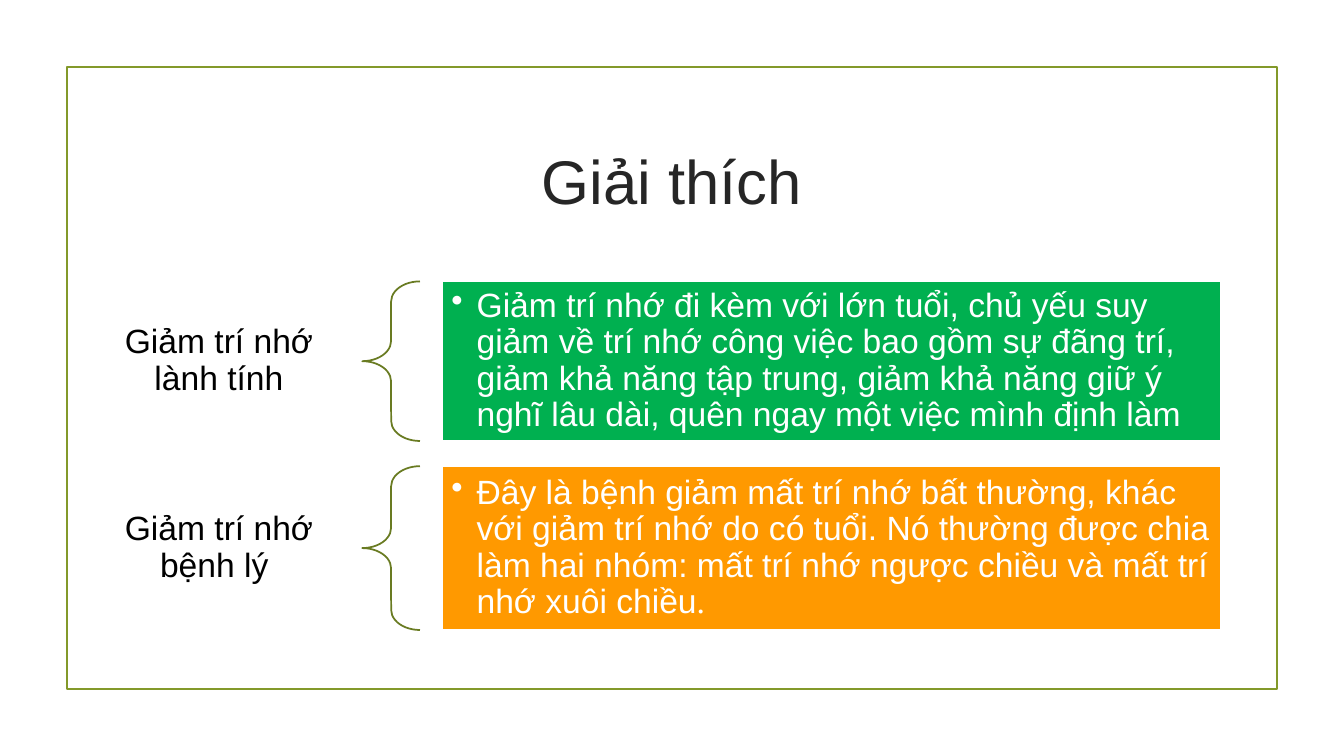
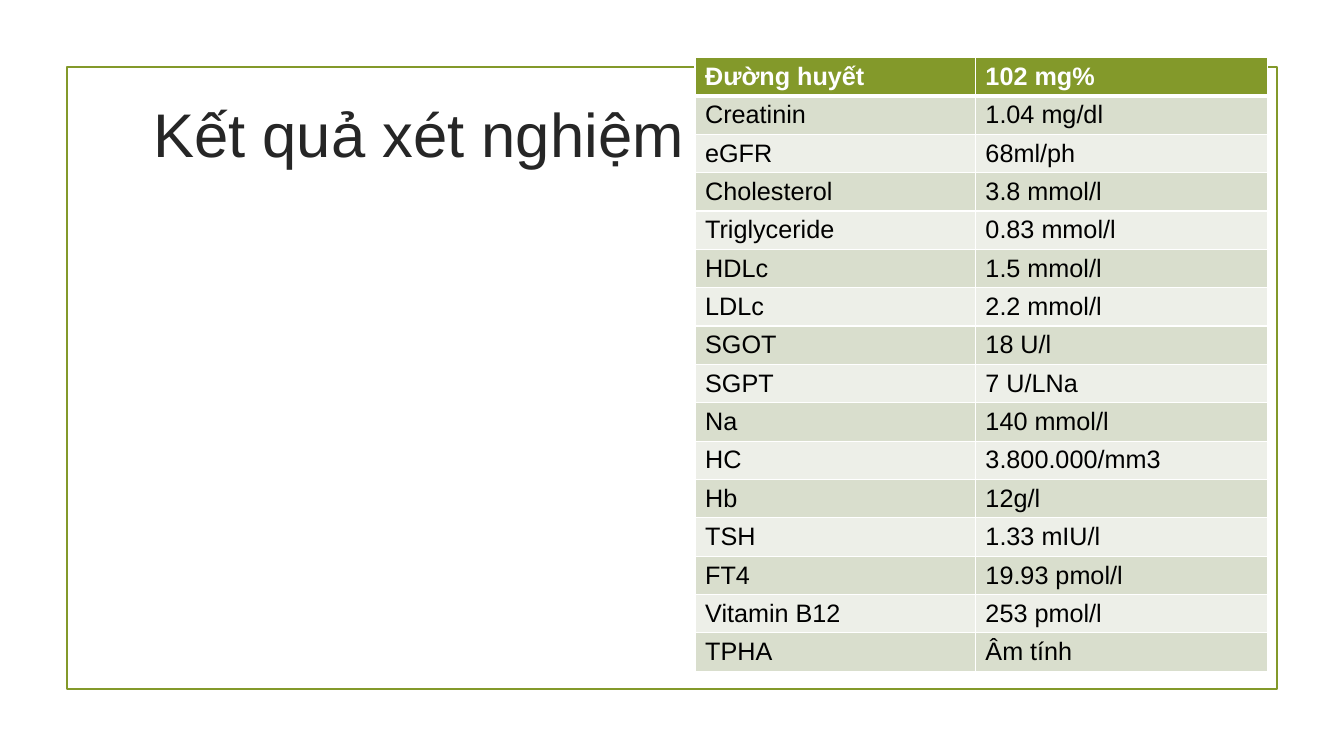
from dataclasses import dataclass
from typing import Any

import pptx
import pptx.dml.color
import pptx.enum.shapes
import pptx.enum.text
import pptx.oxml
import pptx.oxml.ns
import pptx.util

RGBColor = pptx.dml.color.RGBColor
Shape = pptx.enum.shapes.MSO_SHAPE
Align = pptx.enum.text.PP_ALIGN
Anchor = pptx.enum.text.MSO_ANCHOR

EMU_PER_PX = 9525
FONT = "Arial"
ENDING_FONT = "Times New Roman"
WHITE = RGBColor(0xFF, 0xFF, 0xFF)
BLACK = RGBColor(0x00, 0x00, 0x00)
TITLE_INK = RGBColor(0x26, 0x26, 0x26)
OLIVE = RGBColor(0x83, 0x99, 0x2A)
DARK_OLIVE = RGBColor(0x69, 0x7B, 0x22)
GREEN = RGBColor(0x00, 0xB0, 0x50)
ORANGE = RGBColor(0xFF, 0x99, 0x00)
BANDS = (RGBColor(0xED, 0xEF, 0xE8), RGBColor(0xD9, 0xDE, 0xCD))

LABEL_LEFT, LABEL_WIDTH = 72, 273
BRACE_LEFT, BRACE_WIDTH = 345, 55
BOX_LEFT, BOX_WIDTH = 421, 742
TERMS_TOP, TERM_GAP = 268, 24
TABLE_LEFT, TABLE_TOP = 662, 55
COLUMN_WIDTHS = (267, 278)
ROW_HEIGHT = 36


@dataclass(frozen=True)
class Term:
    label: str
    meaning: str
    color: RGBColor
    height: int
    ending: str = ""


TERMS = (
    Term("Giảm trí nhớ lành tính",
         "Giảm trí nhớ đi kèm với lớn tuổi, chủ yếu suy giảm về trí nhớ công việc "
         "bao gồm sự đãng trí, giảm khả năng tập trung, giảm khả năng giữ ý nghĩ "
         "lâu dài, quên ngay một việc mình định làm",
         GREEN, 152),
    Term("Giảm trí nhớ bệnh lý ",
         "Đây là bệnh giảm mất trí nhớ bất thường, khác với giảm trí nhớ do có tuổi. "
         "Nó thường được chia làm hai nhóm: mất trí nhớ ngược chiều và mất trí nhớ "
         "xuôi chiều",
         ORANGE, 156, "."),
)

TEST_RESULTS = (
    ("Đường huyết", "102 mg%"),
    ("Creatinin", "1.04 mg/dl"),
    ("eGFR", "68ml/ph"),
    ("Cholesterol", "3.8 mmol/l"),
    ("Triglyceride", "0.83 mmol/l"),
    ("HDLc", "1.5 mmol/l"),
    ("LDLc", "2.2 mmol/l"),
    ("SGOT", "18 U/l"),
    ("SGPT", "7 U/LNa"),
    ("Na", "140 mmol/l"),
    ("HC", "3.800.000/mm3"),
    ("Hb", "12g/l"),
    ("TSH", "1.33 mIU/l"),
    ("FT4", "19.93 pmol/l"),
    ("Vitamin B12", "253 pmol/l"),
    ("TPHA", "Âm tính"),
)


def px(length: int) -> pptx.util.Emu:
    return pptx.util.Emu(length * EMU_PER_PX)


def write(frame: Any, text: str, *, size: int, color: RGBColor, bold: bool = False,
          align: Any = Align.LEFT, spacing: float | None = None,
          bullet_indent: int = 0, ending: str = "") -> None:
    """Fill the first paragraph; the ending is set in its own font."""
    para = frame.paragraphs[0]
    para.alignment = align
    if spacing:
        para.line_spacing = spacing
    if bullet_indent:
        props = para._p.get_or_add_pPr()
        props.set("marL", str(px(bullet_indent)))
        props.set("indent", str(-px(bullet_indent)))
        bullet = pptx.oxml.parse_xml(
            f'<a:buChar {pptx.oxml.ns.nsdecls("a")} char="•"/>')
        props.append(bullet)
    for words, font in ((text, FONT), (ending, ENDING_FONT)):
        if words:
            span = para.add_run()
            span.text = words
            span.font.name = font
            span.font.size = pptx.util.Pt(size)
            span.font.bold = bold
            span.font.color.rgb = color


def set_frame(frame: Any, side: int, edge: int) -> None:
    """Wrap and centre vertically, with side and top/bottom insets in px."""
    frame.word_wrap = True
    frame.vertical_anchor = Anchor.MIDDLE
    frame.margin_left = frame.margin_right = px(side)
    frame.margin_top = frame.margin_bottom = px(edge)


def add_outline(page: Any, kind: Any, left: int, top: int, width: int, height: int,
                line: RGBColor, fill: RGBColor | None = None) -> Any:
    shape = page.shapes.add_shape(kind, px(left), px(top), px(width), px(height))
    shape.shadow.inherit = False
    shape.line.color.rgb = line
    shape.line.width = pptx.util.Pt(1.25)
    if fill is None:
        shape.fill.background()
    else:
        shape.fill.solid()
        shape.fill.fore_color.rgb = fill
    return shape


def add_page(deck: Any, title: str, title_top: int, align: Any) -> Any:
    """Add a page with the shared frame and title style."""
    page = deck.slides.add_slide(deck.slide_layouts[5])
    border = add_outline(page, Shape.RECTANGLE, 64, 64, 1152, 592, OLIVE)
    heading = page.shapes.title
    heading.element.addprevious(border.element)
    heading.left, heading.top = px(136), px(title_top)
    heading.width, heading.height = px(1008), px(137)
    set_frame(heading.text_frame, 10, 5)
    write(heading.text_frame, title, size=44, color=TITLE_INK, align=align)
    return page


def add_term(page: Any, term: Term, top: int) -> None:
    label = page.shapes.add_textbox(
        px(LABEL_LEFT), px(top), px(LABEL_WIDTH), px(term.height))
    set_frame(label.text_frame, 18, 7)
    write(label.text_frame, term.label, size=24, color=BLACK,
          align=Align.CENTER, spacing=0.9)

    brace = add_outline(page, Shape.LEFT_BRACE, BRACE_LEFT, top,
                        BRACE_WIDTH, term.height, DARK_OLIVE)
    brace.adjustments[0] = 0.35

    box = add_outline(page, Shape.RECTANGLE, BOX_LEFT, top,
                      BOX_WIDTH, term.height, WHITE, term.color)
    set_frame(box.text_frame, 9, 9)
    write(box.text_frame, term.meaning, size=24, color=WHITE, spacing=0.9,
          bullet_indent=24, ending=term.ending)


def set_borders(cell: Any, top: int, bottom: int) -> None:
    """Draw white cell borders; top and bottom widths are in points."""
    props = cell._tc.get_or_add_tcPr()
    for side, points in (("L", 1), ("R", 1), ("T", top), ("B", bottom)):
        props.append(pptx.oxml.parse_xml(
            f'<a:ln{side} {pptx.oxml.ns.nsdecls("a")} w="{pptx.util.Pt(points)}">'
            f'<a:solidFill><a:srgbClr val="{WHITE}"/></a:solidFill></a:ln{side}>'))


def add_results_table(page: Any) -> None:
    table = page.shapes.add_table(
        len(TEST_RESULTS), len(COLUMN_WIDTHS), px(TABLE_LEFT), px(TABLE_TOP),
        px(sum(COLUMN_WIDTHS)), px(ROW_HEIGHT * len(TEST_RESULTS))).table
    for column, width in zip(table.columns, COLUMN_WIDTHS):
        column.width = px(width)
    for index, values in enumerate(TEST_RESULTS):
        is_header = index == 0
        for cell, value in zip(table.rows[index].cells, values):
            set_borders(cell, top=3 if index == 1 else 1, bottom=3 if is_header else 1)
            cell.fill.solid()
            cell.fill.fore_color.rgb = OLIVE if is_header else BANDS[index % 2]
            write(cell.text_frame, value, size=18, bold=is_header,
                  color=WHITE if is_header else BLACK)


def main() -> None:
    deck = pptx.Presentation()
    deck.slide_width, deck.slide_height = px(1280), px(720)

    explanation = add_page(deck, "Giải thích", 103, Align.CENTER)
    top = TERMS_TOP
    for term in TERMS:
        add_term(explanation, term, top)
        top += term.height + TERM_GAP

    results = add_page(deck, "Kết quả xét nghiệm", 58, Align.LEFT)
    add_results_table(results)

    deck.save("out.pptx")


if __name__ == "__main__":
    main()
